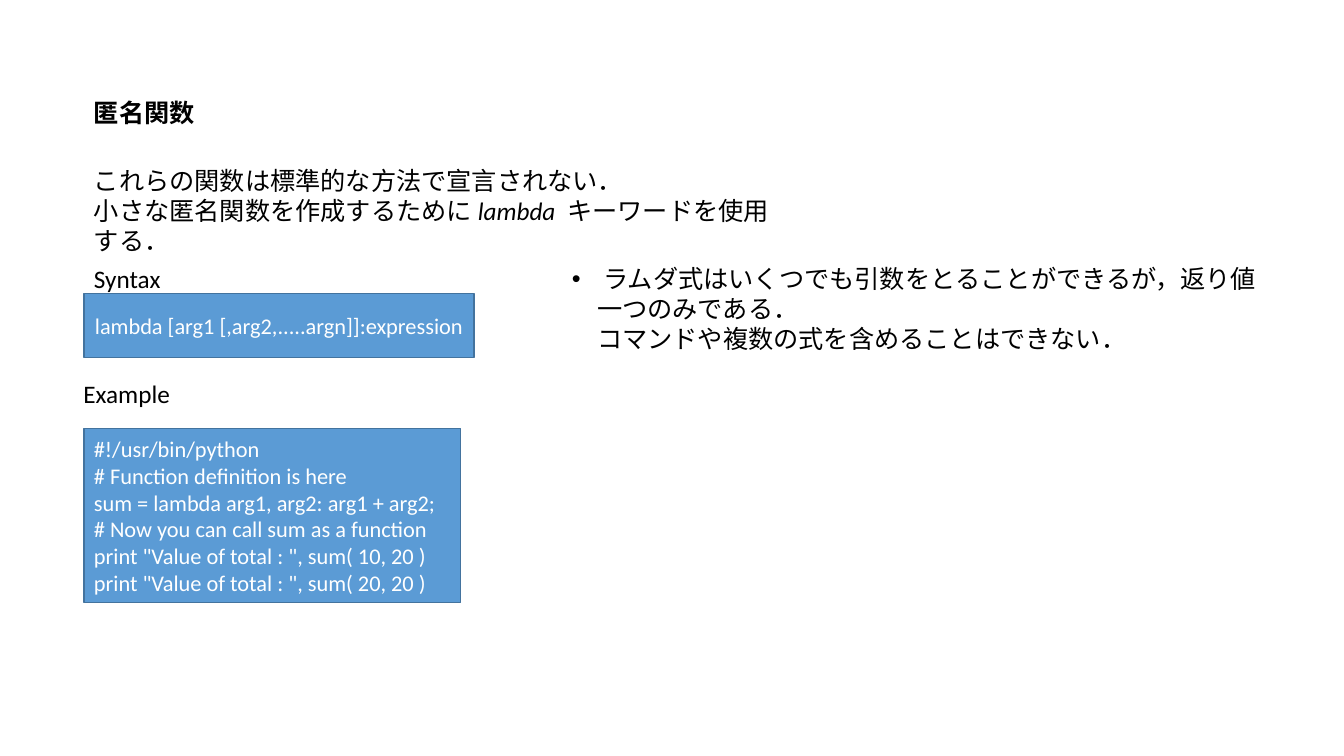
import pptx
import pptx.dml.color
import pptx.enum.shapes
import pptx.enum.text
import pptx.oxml.ns
import pptx.util
from lxml import etree
from pptx.util import Pt

COLORS = {"text": "000000", "code": "FFFFFF", "fill": "5B9BD5", "line": "43739E"}
LATIN, JAPANESE = "Calibri", "Noto Sans CJK JP"
TEXT_SIZE, CODE_SIZE = 18, 16
BULLET_INDENT, FOLLOWING_INDENT = 22.5, 18

# left, top, width, height in points
TITLE_AREA = (60, 66, 88, 29)
INTRO_AREA = (60, 114.5, 512, 51)
SYNTAX_LABEL_AREA = (60, 184.5, 67, 29)
SYNTAX_CODE_AREA = (60, 209.5, 278.5, 46)
EXAMPLE_LABEL_AREA = (52.5, 266.5, 81, 29)
EXAMPLE_CODE_AREA = (60, 306, 269, 124.5)
NOTES_AREA = (401.5, 184.5, 546, 73)

# a paragraph is a list of (text, italic) runs or a plain string
TITLE = ["匿名関数"]
INTRO = [
    "これらの関数は標準的な方法で宣言されない．",
    [("小さな匿名関数を作成するために", False), ("lambda ", True), ("キーワードを使用する．", False)],
]
SYNTAX_CODE = ["lambda [arg1 [,arg2,.....argn]]:expression"]
EXAMPLE_CODE = [
    "#!/usr/bin/python",
    "# Function definition is here",
    "sum = lambda arg1, arg2: arg1 + arg2;",
    "# Now you can call sum as a function",
    'print "Value of total : ", sum( 10, 20 )',
    'print "Value of total : ", sum( 20, 20 )',
]
NOTES = [
    "ラムダ式はいくつでも引数をとることができるが，返り値",
    "一つのみである．",
    "コマンドや複数の式を含めることはできない．",
]


def rgb(name):
    return pptx.dml.color.RGBColor.from_string(COLORS[name])


def set_indent(para, left, first=0, bullet=None):
    properties = para._p.get_or_add_pPr()
    properties.set("marL", str(Pt(left)))
    properties.set("indent", str(Pt(first)))
    if bullet:
        for tag, key, value in (("a:buFont", "typeface", "Arial"), ("a:buChar", "char", bullet)):
            etree.SubElement(properties, pptx.oxml.ns.qn(tag)).set(key, value)


def write_paragraphs(frame, paragraphs, size, color, font=LATIN, bold=False,
                     align=pptx.enum.text.PP_ALIGN.LEFT, bulleted=False):
    for index, content in enumerate(paragraphs):
        para = frame.paragraphs[0] if index == 0 else frame.add_paragraph()
        para.alignment = align
        if bulleted and index == 0:
            set_indent(para, BULLET_INDENT, -BULLET_INDENT, "•")
        elif bulleted:
            set_indent(para, FOLLOWING_INDENT)
        para.font.size = Pt(size)
        para.font.name = font
        para.font.bold = bold
        para.font.color.rgb = rgb(color)
        runs = [(content, False)] if isinstance(content, str) else content
        for text, italic in runs:
            span = para.add_run()
            span.text = text
            if italic:
                span.font.italic = True


def add_label(slide, area, paragraphs, wrap=False, **style):
    box = slide.shapes.add_textbox(*map(Pt, area))
    box.text_frame.word_wrap = wrap
    write_paragraphs(box.text_frame, paragraphs, TEXT_SIZE, "text", **style)


def add_code_box(slide, area, lines, **style):
    box = slide.shapes.add_shape(pptx.enum.shapes.MSO_SHAPE.RECTANGLE, *map(Pt, area))
    box.shadow.inherit = False
    box.fill.solid()
    box.fill.fore_color.rgb = rgb("fill")
    box.line.color.rgb = rgb("line")
    box.line.width = Pt(1)
    box.text_frame.word_wrap = True
    box.text_frame.vertical_anchor = pptx.enum.text.MSO_ANCHOR.MIDDLE
    write_paragraphs(box.text_frame, lines, CODE_SIZE, "code", **style)


def main():
    deck = pptx.Presentation()
    deck.slide_width, deck.slide_height = Pt(960), Pt(540)
    slide = deck.slides.add_slide(deck.slide_layouts[6])
    add_label(slide, TITLE_AREA, TITLE, font=JAPANESE, bold=True)
    add_label(slide, INTRO_AREA, INTRO, wrap=True)
    add_code_box(slide, SYNTAX_CODE_AREA, SYNTAX_CODE, align=pptx.enum.text.PP_ALIGN.CENTER)
    add_label(slide, SYNTAX_LABEL_AREA, ["Syntax"])
    add_code_box(slide, EXAMPLE_CODE_AREA, EXAMPLE_CODE)
    add_label(slide, EXAMPLE_LABEL_AREA, ["Example"])
    add_label(slide, NOTES_AREA, NOTES, wrap=True, font=JAPANESE, bulleted=True)
    deck.save("out.pptx")


if __name__ == "__main__":
    main()
